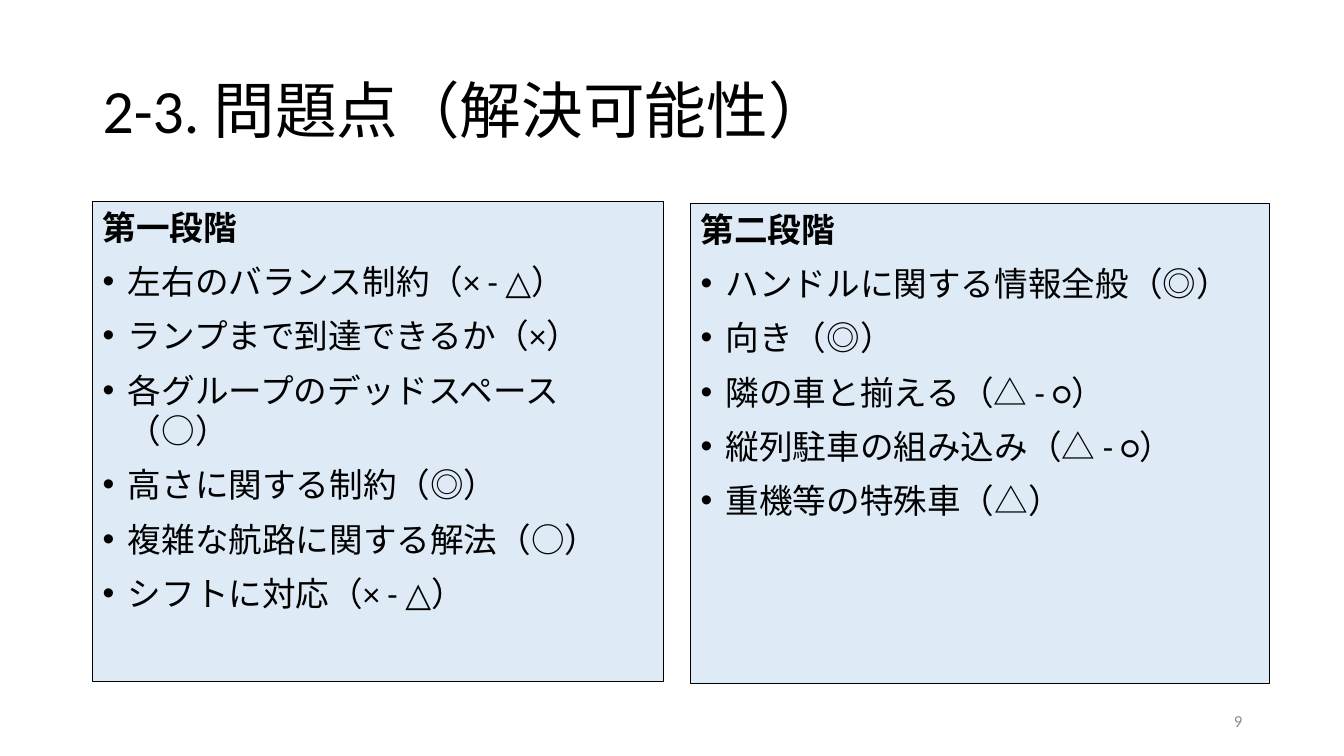
from lxml import etree
from pptx import Presentation
from pptx.dml.color import RGBColor
from pptx.enum.lang import MSO_LANGUAGE_ID as Language
from pptx.enum.shapes import MSO_SHAPE as Shape
from pptx.enum.text import MSO_ANCHOR as Anchor, PP_ALIGN as Align
from pptx.oxml.ns import qn
from pptx.util import Inches, Pt

# Content
TITLE = "2-3. 問題点（解決可能性）"
PAGE_NUMBER = "9"
PANELS = [
    {
        "box": (0.92, 2, 5.66, 4.76),
        "heading": "第一段階",
        "items": [
            "左右のバランス制約（× - △）",
            "ランプまで到達できるか（×）",
            "各グループのデッドスペース（○）",
            "高さに関する制約（◎）",
            "複雑な航路に関する解法（○）",
            "シフトに対応（× - △）",
        ],
    },
    {
        "box": (6.85, 2.02, 5.74, 4.76),
        "heading": "第二段階",
        "items": [
            "ハンドルに関する情報全般（◎）",
            "向き（◎）",
            "隣の車と揃える（△ - ○）",
            "縦列駐車の組み込み（△ - ○）",
            "重機等の特殊車（△）",
        ],
    },
]

# Formats
BLACK = RGBColor(0x00, 0x00, 0x00)
GRAY = RGBColor(0x8C, 0x8C, 0x8C)
PALE_BLUE = RGBColor(0xDE, 0xEB, 0xF7)
BASE_FONT = {"name": "Calibri", "language_id": Language.JAPANESE}
TITLE_FONT = {**BASE_FONT, "size": Pt(44)}
HEADING_FONT = {**BASE_FONT, "size": Pt(24), "bold": True}
ITEM_FONT = {**HEADING_FONT, "bold": False}
NUMBER_FONT = {**BASE_FONT, "size": Pt(12)}
TITLE_LAYOUT = {"line_spacing": 0.9}
PANEL_LAYOUT = {"alignment": Align.LEFT, "space_before": Pt(10)}
NUMBER_LAYOUT = {"alignment": Align.RIGHT}
INDENT = Inches(0.25)


def set_all(target, values):
    for name, value in values.items():
        setattr(target, name, value)


def write(paragraph, text, font, layout, color=BLACK):
    run = paragraph.add_run()
    run.text = text
    set_all(run.font, font)
    run.font.color.rgb = color
    set_all(paragraph, layout)


def add_bullet(paragraph):
    properties = paragraph._p.get_or_add_pPr()
    properties.set("marL", str(INDENT))
    properties.set("indent", str(-INDENT))
    etree.SubElement(properties, qn("a:buFont")).set("typeface", "Arial")
    etree.SubElement(properties, qn("a:buChar")).set("char", "•")


def add_label(slide, box, *text_format):
    frame = slide.shapes.add_textbox(*map(Inches, box)).text_frame
    set_all(frame, {"word_wrap": True, "vertical_anchor": Anchor.MIDDLE})
    write(frame.paragraphs[0], *text_format)


def add_panel(slide, box, heading, items):
    shape = slide.shapes.add_shape(Shape.RECTANGLE, *map(Inches, box))
    shape.shadow.inherit = False
    shape.fill.solid()
    shape.fill.fore_color.rgb = PALE_BLUE
    shape.line.color.rgb = BLACK
    shape.line.width = Pt(0.75)
    frame = shape.text_frame
    set_all(frame, {"word_wrap": True, "vertical_anchor": Anchor.TOP})
    write(frame.paragraphs[0], heading, HEADING_FONT, PANEL_LAYOUT)
    for item in items:
        paragraph = frame.add_paragraph()
        write(paragraph, item, ITEM_FONT, PANEL_LAYOUT)
        add_bullet(paragraph)


def main():
    presentation = Presentation()
    presentation.slide_width = Inches(13.33)
    presentation.slide_height = Inches(7.5)
    slide = presentation.slides.add_slide(presentation.slide_layouts[6])

    # Title, panels and page number
    add_label(slide, (0.92, 0.4, 11.5, 1.45), TITLE, TITLE_FONT, TITLE_LAYOUT)
    for panel in PANELS:
        add_panel(slide, **panel)
    add_label(slide, (9.42, 6.95, 3, 0.4), PAGE_NUMBER, NUMBER_FONT, NUMBER_LAYOUT, GRAY)

    presentation.save("out.pptx")


if __name__ == "__main__":
    main()
